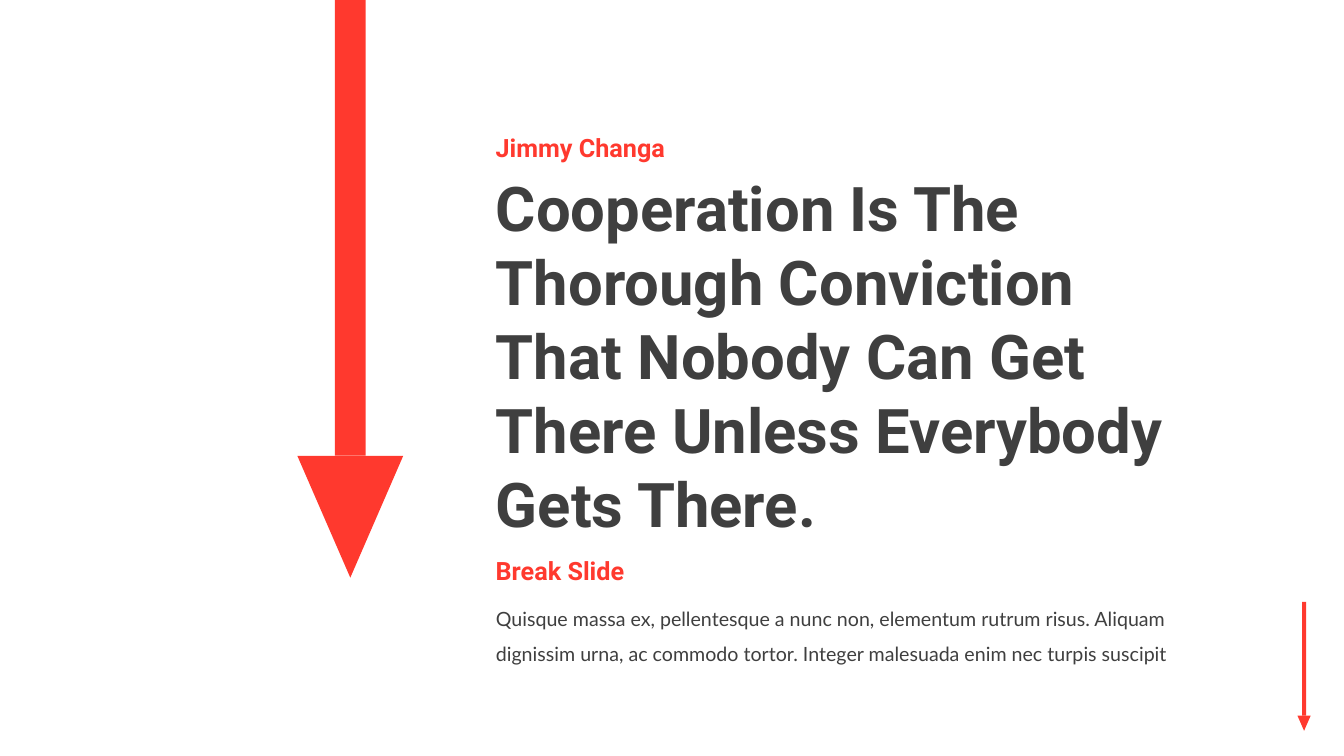
from lxml.etree import SubElement
from pptx import Presentation
from pptx.dml.color import RGBColor
from pptx.enum.shapes import MSO_SHAPE
from pptx.enum.text import MSO_ANCHOR, MSO_AUTO_SIZE, PP_ALIGN
from pptx.oxml.ns import qn
from pptx.util import Pt

RED = RGBColor(0xFF, 0x39, 0x2E)
GREY = RGBColor(0x3F, 0x3F, 0x3F)

QUOTE = [
    "Cooperation Is The",
    "Thorough Conviction",
    "That Nobody Can Get",
    "There Unless Everybody",
    "Gets There.",
]
DESCRIPTION = (
    "Quisque massa ex, pellentesque a nunc non, elementum rutrum risus. Aliquam "
    "dignissim urna, ac commodo tortor. Integer malesuada enim nec turpis suscipit"
)


def place(shape, left, top, width, height):
    """Move and size a shape, in points."""
    shape.left, shape.top = Pt(left), Pt(top)
    shape.width, shape.height = Pt(width), Pt(height)


def write_text(shape, lines, font="Roboto", size=18, color=RED, bold=True, spacing=1.0):
    """Fill a shape with left-aligned, unbulleted lines in one format."""
    frame = shape.text_frame
    frame.word_wrap = True
    frame.auto_size = MSO_AUTO_SIZE.NONE
    frame.vertical_anchor = MSO_ANCHOR.TOP
    for index, line in enumerate(lines):
        paragraph = frame.add_paragraph() if index else frame.paragraphs[0]
        properties = paragraph._p.get_or_add_pPr()
        properties.set("marL", "0")
        properties.set("indent", "0")
        SubElement(properties, qn("a:buNone"))
        paragraph.text = line
        paragraph.alignment = PP_ALIGN.LEFT
        paragraph.space_before = Pt(0)
        paragraph.line_spacing = spacing
        paragraph.font.name = font
        paragraph.font.size = Pt(size)
        paragraph.font.bold = bold
        paragraph.font.color.rgb = color


def add_red_shape(slide, kind, left, top, width, height):
    """Add a flat red preset shape."""
    shape = slide.shapes.add_shape(kind, Pt(left), Pt(top), Pt(width), Pt(height))
    shape.shadow.inherit = False
    shape.fill.solid()
    shape.fill.fore_color.rgb = RED
    shape.line.fill.background()
    return shape


def add_down_arrow(slide, left, top, width, height, shaft_width, head_height):
    """Draw a downward arrow that fills the given box."""
    shaft_left = left + (width - shaft_width) / 2
    shaft_height = height - head_height
    add_red_shape(slide, MSO_SHAPE.RECTANGLE, shaft_left, top, shaft_width, shaft_height)
    head = add_red_shape(
        slide, MSO_SHAPE.ISOSCELES_TRIANGLE, left, top + shaft_height, width, head_height
    )
    head.rotation = 180


def add_label(slide, text, left, top, width, height):
    """Add a one-line red label."""
    label = slide.shapes.add_textbox(0, 0, 0, 0)
    place(label, left, top, width, height)
    write_text(label, [text])


def add_quote(slide, left, top, width):
    """Stack the author, quote, caption and description from the top left."""
    add_label(slide, "Jimmy Changa", left, top, 174, 28.8)
    title = slide.shapes.title
    place(title, left, top + 27.4, width, 273.6)
    write_text(title, QUOTE, size=44, color=GREY)
    add_label(slide, "Break Slide", left, top + 302.4, 160.5, 28.8)
    body = slide.placeholders[1]
    place(body, left, top + 330.5, 519, 55.4)
    write_text(body, [DESCRIPTION], font="Lato", size=14, color=GREY, bold=False, spacing=1.5)


def main():
    """Build and save the slide."""
    presentation = Presentation()
    presentation.slide_width, presentation.slide_height = Pt(960), Pt(540)
    slide = presentation.slides.add_slide(presentation.slide_layouts[1])
    add_down_arrow(slide, 212.4, 0, 75.6, 412.6, shaft_width=22, head_height=87)
    add_down_arrow(slide, 926.8, 430, 9.4, 92, shaft_width=2.8, head_height=10.8)
    add_quote(slide, 347, 90.7, 556)
    presentation.save("out.pptx")


if __name__ == "__main__":
    main()
